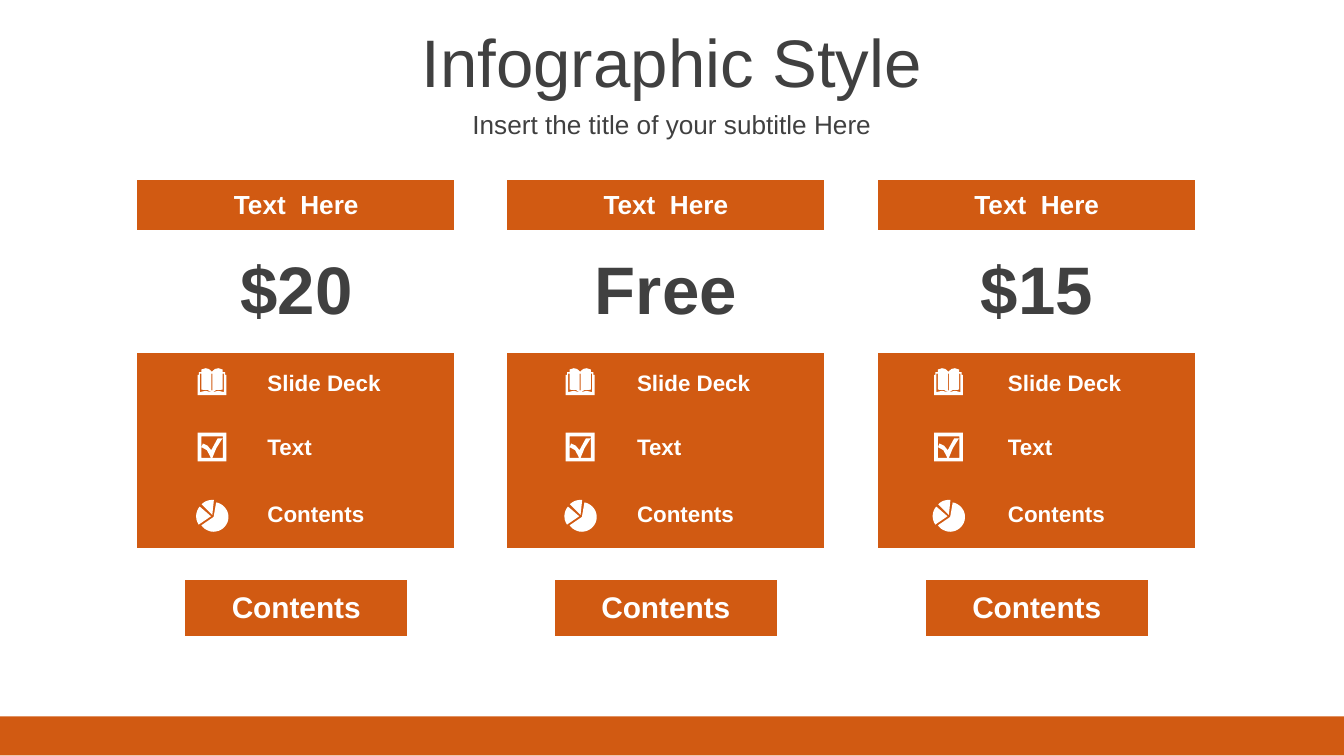
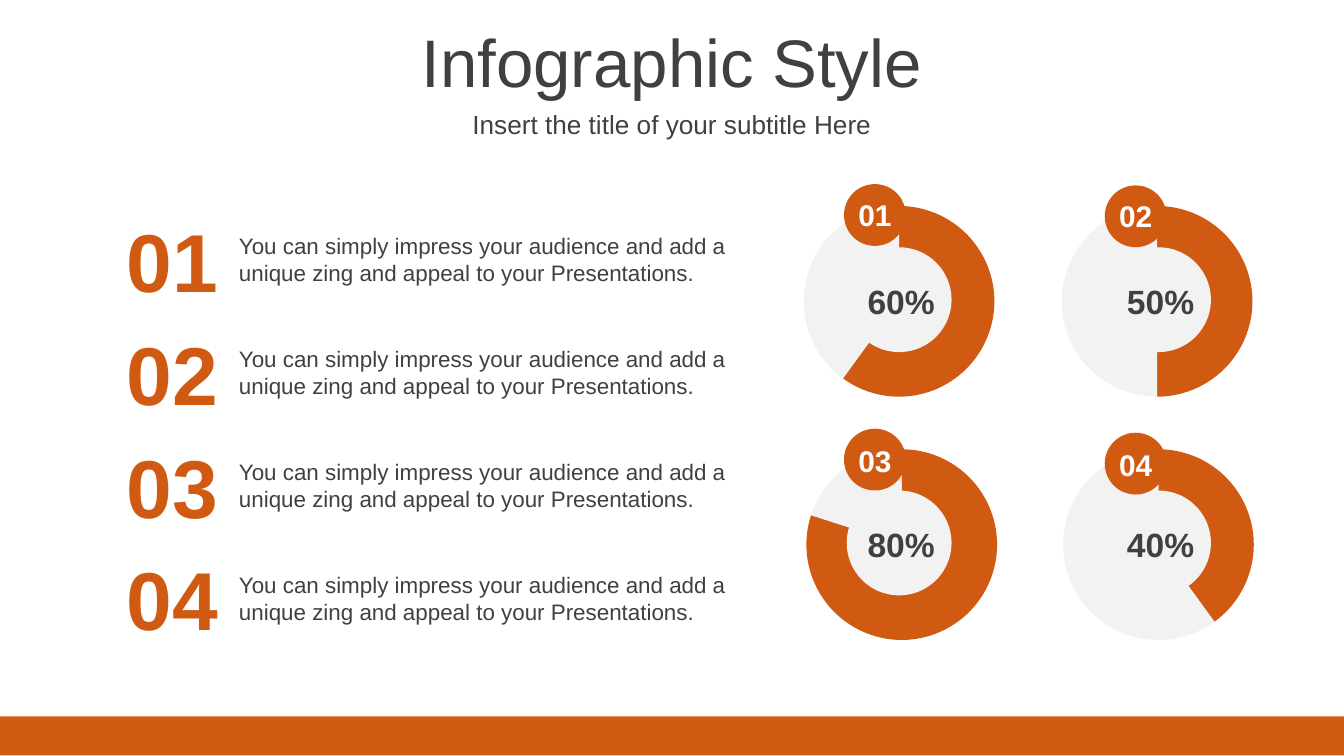
from dataclasses import dataclass
from math import cos, radians, sin

from lxml.etree import SubElement
from pptx import Presentation
from pptx.chart.data import CategoryChartData
from pptx.dml.color import RGBColor
from pptx.enum.chart import XL_CHART_TYPE
from pptx.enum.shapes import MSO_SHAPE
from pptx.enum.text import MSO_ANCHOR, PP_ALIGN
from pptx.oxml.ns import qn
from pptx.shapes.autoshape import Shape
from pptx.slide import Slide
from pptx.table import Table, _Cell
from pptx.text.text import TextFrame
from pptx.util import Inches, Pt

Point = tuple[float, float]
Loop = list[Point]


@dataclass(frozen=True)
class Theme:
    font: str = "Arial"
    rust: str = "D15A12"
    dark: str = "404040"
    pale: str = "F2F2F2"
    white: str = "FFFFFF"
    huge: int = 44
    title: int = 36
    mid: int = 18
    label: int = 16
    head: int = 14
    body: int = 12
    tiny: int = 6


@dataclass(frozen=True)
class Plan:
    price: str
    left: float


@dataclass(frozen=True)
class Dial:
    num: str
    share: int
    left: float      # chart corner
    top: float
    col: int
    row: int
    badge: float     # top of the badge


@dataclass(frozen=True)
class Icon:
    dx: float        # offset from the first icon column
    top: float
    loops: list[Loop]


THEME = Theme()
NO_GRID = "{2D5ABB26-0587-4C30-8999-92F81FD0307C}"


# Basic parts
def put_text(frame: TextFrame, text: str, *, size: int, color: str = THEME.dark,
             bold: bool = False, align: PP_ALIGN = PP_ALIGN.CENTER) -> None:
    para = frame.paragraphs[0]
    para.alignment = align
    run = para.add_run()
    run.text = text
    font = run.font
    font.name, font.size, font.bold = THEME.font, Pt(size), bold
    font.color.rgb = RGBColor.from_string(color)


def add_text(slide: Slide, text: str, left: float, top: float, width: float,
             height: float, *, anchor: MSO_ANCHOR = MSO_ANCHOR.MIDDLE, **style) -> None:
    box = slide.shapes.add_textbox(Inches(left), Inches(top), Inches(width), Inches(height))
    frame = box.text_frame
    frame.word_wrap = True
    frame.vertical_anchor = anchor
    put_text(frame, text, **style)


def paint(shape: Shape, color: str) -> None:
    shape.shadow.inherit = False
    shape.fill.solid()
    shape.fill.fore_color.rgb = RGBColor.from_string(color)
    shape.line.fill.background()


def add_form(slide: Slide, kind: MSO_SHAPE, left: float, top: float,
             width: float, height: float, color: str) -> None:
    paint(slide.shapes.add_shape(kind, Inches(left), Inches(top),
                                 Inches(width), Inches(height)), color)


def new_slide(deck) -> Slide:
    """Add a blank slide with the shared band, title and subtitle."""
    slide = deck.slides.add_slide(deck.slide_layouts[6])
    add_form(slide, MSO_SHAPE.RECTANGLE, 0, 5.33, 10, 0.29, THEME.rust)
    add_text(slide, "Infographic Style", 0, 0.14, 10, 0.63, size=THEME.title)
    add_text(slide, "Insert the title of your subtitle Here", 0, 0.77, 10, 0.31,
             size=THEME.head)
    return slide


# Icons, in thousandths of an inch
def wedge(x: float, y: float, size: float, start: int, end: int) -> Loop:
    turns = [radians(start + (end - start) * i / 24) for i in range(25)]
    return [(x, y)] + [(x + size * cos(t), y + size * sin(t)) for t in turns]


BOOK = [
    [(0, 50), (10, 50), (10, 30), (28, 30), (28, 10), (60, 0), (85, 6), (107, 26),
     (129, 6), (155, 0), (187, 10), (187, 30), (205, 30), (205, 50), (214, 50),
     (214, 200), (0, 200)],
    [(18, 40), (18, 178), (60, 168), (107, 180), (75, 162), (28, 160), (28, 40)],
    [(196, 40), (187, 40), (187, 160), (140, 162), (107, 180), (154, 168), (196, 178)],
    [(104, 40), (104, 165), (110, 165), (110, 40)],
]
CHECK = [
    [(0, 0), (214, 0), (214, 214), (0, 214)],
    [(28, 28), (28, 188), (188, 188), (188, 28)],
    [(30, 108), (40, 80), (75, 97), (102, 130), (150, 42), (186, 42),
     (140, 115), (110, 188), (100, 188), (70, 130)],
]
PIE = [wedge(110, 122, 110, 146, 221), wedge(130, 127, 110, -80, 146),
       wedge(120, 112, 112, 225, 276)]
ICONS = [Icon(0.01, 2.74, BOOK), Icon(0.01, 3.22, CHECK), Icon(0, 3.72, PIE)]


def add_icon(slide: Slide, icon: Icon, left: float) -> None:
    first, *rest = icon.loops
    pen = slide.shapes.build_freeform(*first[0], scale=Inches(1) / 1000)
    pen.add_line_segments(first[1:], close=True)
    for loop in rest:
        pen.move_to(*loop[0])
        pen.add_line_segments(loop[1:], close=True)
    paint(pen.convert_to_shape(Inches(left + icon.dx), Inches(icon.top)), THEME.white)


# Price tables
WIDTHS = [0.36, 0.51, 1.14, 0.35]
HEIGHTS = [0.37, 0.92, 0.45, 0.5, 0.5, 0.24, 0.41, 0.24]
ITEMS = ["Slide Deck", "Text", "Contents"]
BUTTON = 6


def fill_cell(cell: _Cell, color: str) -> None:
    cell.fill.solid()
    cell.fill.fore_color.rgb = RGBColor.from_string(color)
    cell.vertical_anchor = MSO_ANCHOR.MIDDLE


def shrink(cell: _Cell) -> None:
    """Keep an empty cell from stretching its row."""
    para = cell.text_frame.paragraphs[0]
    SubElement(para._p, qn("a:endParaRPr"), sz=str(THEME.tiny * 100))


def cell_text(table: Table, row: int, col: int, text: str, **style) -> None:
    put_text(table.cell(row, col).text_frame, text, bold=True, **style)


def add_plan(slide: Slide, plan: Plan) -> None:
    frame = slide.shapes.add_table(len(HEIGHTS), len(WIDTHS), Inches(plan.left), Inches(1.34),
                                   Inches(sum(WIDTHS)), Inches(sum(HEIGHTS)))
    table = frame.table
    table.first_row = table.horz_banding = False
    table._tbl.tblPr.find(qn("a:tableStyleId")).text = NO_GRID
    for col, width in zip(table.columns, WIDTHS):
        col.width = Inches(width)
    for row, height in zip(table.rows, HEIGHTS):
        row.height = Inches(height)

    # Fills: solid header and list, narrow button
    for r in range(len(HEIGHTS)):
        for c in range(len(WIDTHS)):
            solid = r in (0, 2, 3, 4) or (r == BUTTON and c in (1, 2))
            fill_cell(table.cell(r, c), THEME.rust if solid else THEME.white)

    # Spans
    for r in (0, 1, 5, 6, 7):
        table.cell(r, 1).merge(table.cell(r, 2))
    for c in (0, 3):
        table.cell(2, c).merge(table.cell(4, c))

    # Wording
    cell_text(table, 0, 1, "Text  Here", size=THEME.head, color=THEME.white)
    cell_text(table, 1, 1, plan.price, size=THEME.title)
    for r, item in enumerate(ITEMS, 2):
        cell_text(table, r, 2, item, size=THEME.body, color=THEME.white, align=PP_ALIGN.LEFT)
    cell_text(table, BUTTON, 1, "Contents", size=THEME.label, color=THEME.white)
    for cell in table.iter_cells():
        if not cell.text:
            shrink(cell)


# Ring charts
def add_ring(slide: Slide, dial: Dial) -> None:
    data = CategoryChartData()
    data.categories = ["1", "2"]
    data.add_series("Series 1", (dial.share, 100 - dial.share))
    chart = slide.shapes.add_chart(XL_CHART_TYPE.DOUGHNUT, Inches(dial.left), Inches(dial.top),
                                   Inches(1.42), Inches(1.47), data).chart
    chart.has_legend = chart.has_title = False
    chart.font.name, chart.font.size = THEME.font, Pt(THEME.mid)
    chart.font.color.rgb = RGBColor(0, 0, 0)
    plot = chart.plots[0]
    plot.vary_by_categories = False
    for i, color in enumerate((THEME.rust, THEME.pale)):
        look = plot.series[0].points[i].format
        look.fill.solid()
        look.fill.fore_color.rgb = RGBColor.from_string(color)
        look.line.fill.background()

    # Hole size and plot area
    root = chart._chartSpace
    root.find(".//" + qn("c:holeSize")).set("val", "75")
    area = root.find(".//" + qn("c:plotArea"))
    layout = area.find(qn("c:layout"))
    if layout is None:
        layout = SubElement(area, qn("c:layout"))
        area.insert(0, layout)
    manual = SubElement(layout, qn("c:manualLayout"))
    rules = {"layoutTarget": "inner", "xMode": "edge", "yMode": "edge",
             "x": "0", "y": "0", "w": "1", "h": "0.97"}
    for name, value in rules.items():
        SubElement(manual, qn("c:" + name), val=value)


def add_dial(slide: Slide, dial: Dial) -> None:
    add_ring(slide, dial)
    x, y = 1.93 * dial.col, 1.81 * dial.row
    add_form(slide, MSO_SHAPE.OVAL, 6.3 + x, 1.84 + y, 0.78, 0.78, THEME.pale)
    add_text(slide, f"{dial.share}%", 6.35 + x, 2.04 + y, 0.71, 0.4,
             size=THEME.mid, bold=True)
    x = 1.94 * dial.col
    add_form(slide, MSO_SHAPE.OVAL, 6.28 + x, dial.badge, 0.46, 0.46, THEME.rust)
    add_text(slide, dial.num, 6.2 + x, dial.badge + 0.04 + 0.01 * dial.row, 0.62, 0.37,
             size=THEME.label, color=THEME.white, bold=True)


# Slides
def price_slide(deck) -> None:
    slide = new_slide(deck)
    plans = [Plan("$20", 1.02), Plan("Free", 3.77), Plan("$15", 6.53)]
    for i, plan in enumerate(plans):
        add_plan(slide, plan)
        for icon in ICONS:
            add_icon(slide, icon, 1.46 + 2.74 * i)


def dial_slide(deck) -> None:
    slide = new_slide(deck)
    dials = [
        Dial("01", 60, 5.98, 1.53, 0, 0, 1.37),
        Dial("02", 50, 7.9, 1.53, 1, 0, 1.38),
        Dial("03", 80, 6, 3.34, 0, 1, 3.19),
        Dial("04", 40, 7.91, 3.34, 1, 1, 3.22),
    ]
    note = ("You can simply impress your audience and add a unique zing "
            "and appeal to your Presentations.")
    for i, dial in enumerate(dials):
        drop = 0.84 * i
        add_text(slide, dial.num, 0.67, 1.51 + drop, 1.22, 0.84,
                 size=THEME.huge, color=THEME.rust, bold=True)
        add_text(slide, note, 1.68, 1.68 + drop, 3.86, 0.5, anchor=MSO_ANCHOR.TOP,
                 size=THEME.body, align=PP_ALIGN.LEFT)
        add_dial(slide, dial)


def main() -> None:
    deck = Presentation()
    deck.slide_width = Inches(10)
    deck.slide_height = Inches(10 * 9 / 16)
    price_slide(deck)
    dial_slide(deck)
    deck.save("out.pptx")


main()
